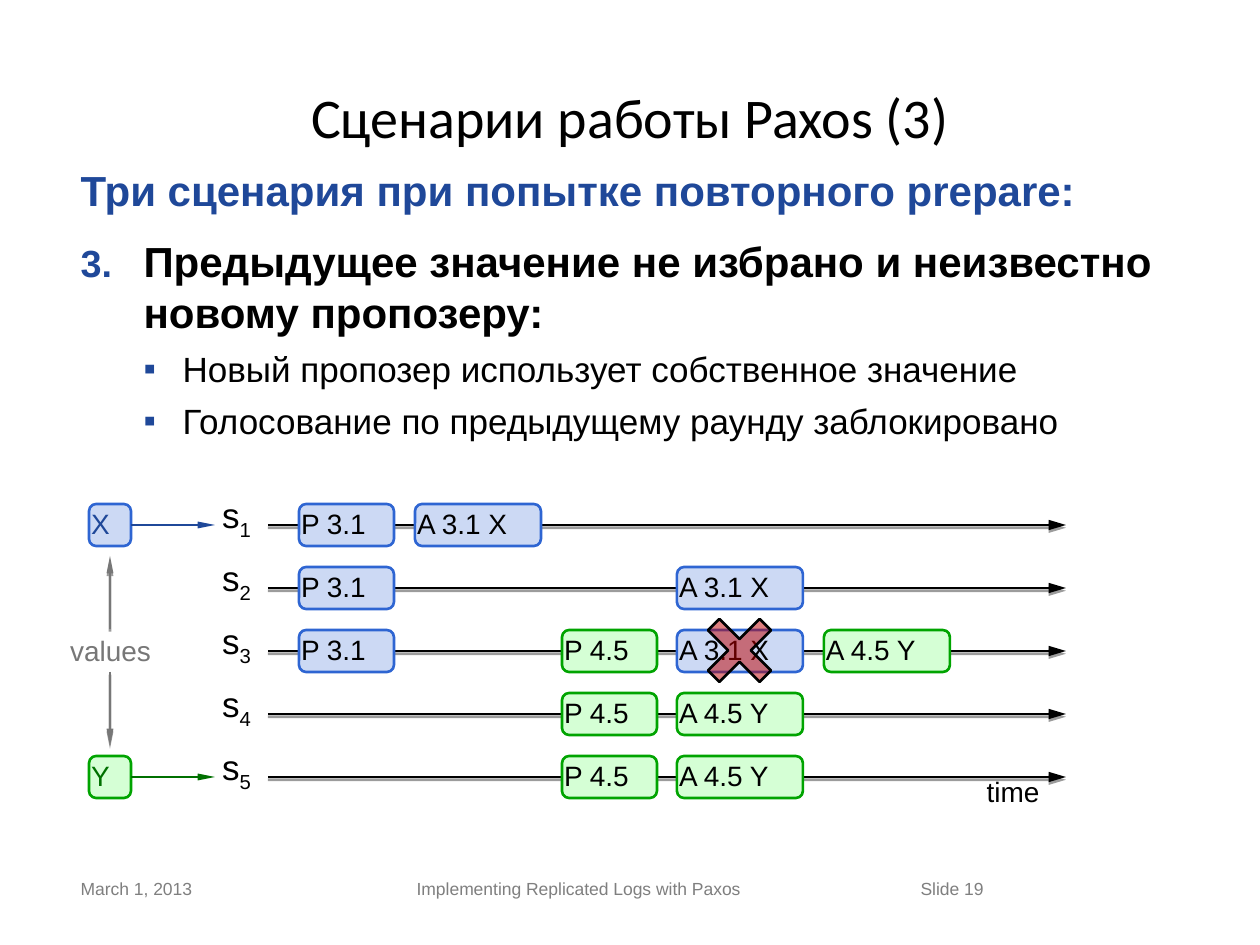
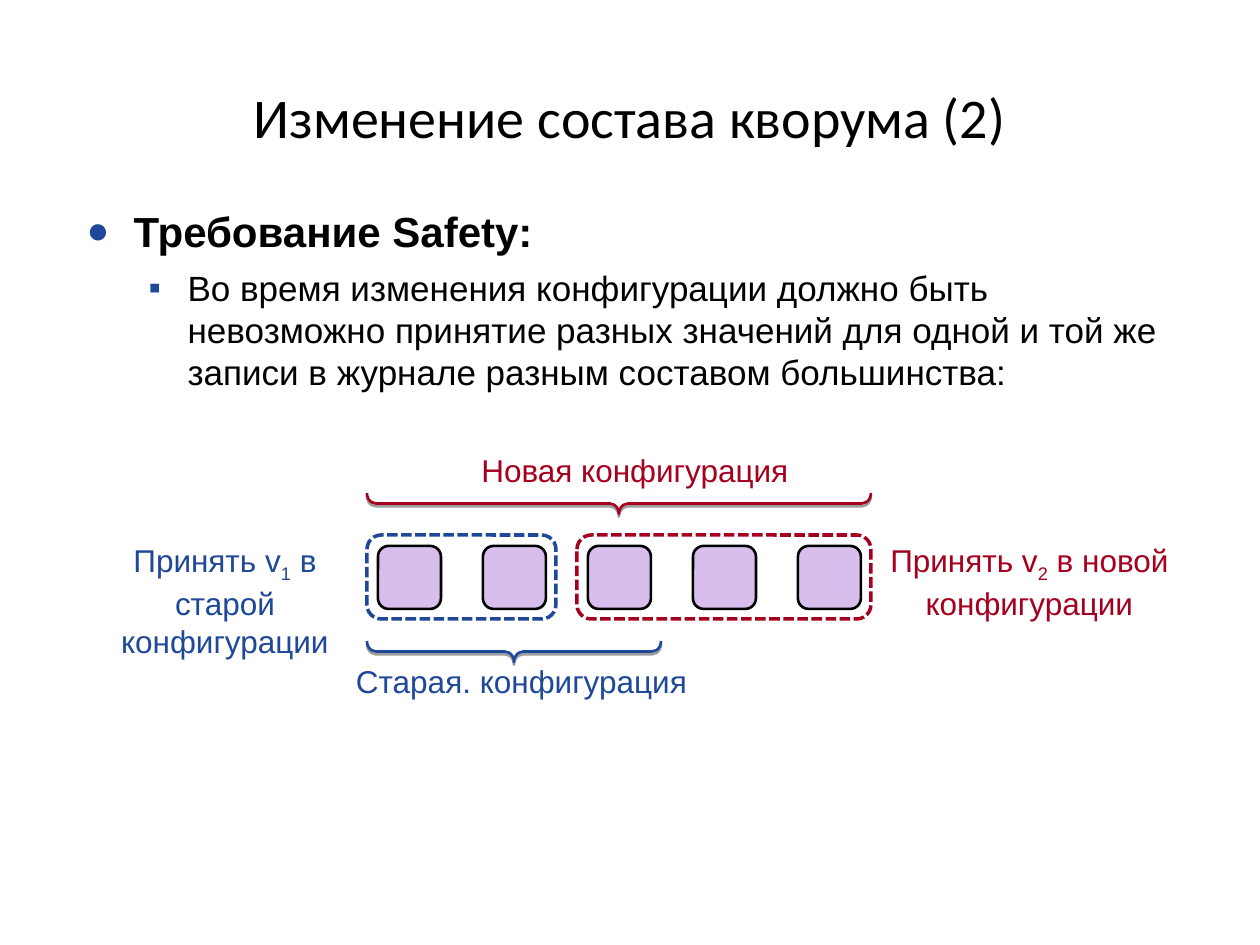
from lxml.etree import SubElement
from pptx import Presentation
from pptx.dml.color import RGBColor
from pptx.enum.dml import MSO_LINE as Dash
from pptx.enum.shapes import MSO_CONNECTOR as Conn, MSO_SHAPE as Kind
from pptx.enum.text import MSO_ANCHOR as Anchor, PP_ALIGN as Align
from pptx.oxml.ns import qn
from pptx.util import Emu, Pt

PX = 914400 // 126

BLACK = RGBColor(0x00, 0x00, 0x00)
NAVY = RGBColor(0x1F, 0x48, 0x99)
BLUE = RGBColor(0x2E, 0x65, 0xD2)
SKY = RGBColor(0xCC, 0xD9, 0xF4)
GREEN = RGBColor(0x00, 0xA4, 0x00)
MINT = RGBColor(0xD5, 0xFF, 0xD5)
DARK = RGBColor(0x00, 0x70, 0x00)
RED = RGBColor(0xC0, 0x00, 0x00)
WINE = RGBColor(0xA5, 0x00, 0x1E)
LILAC = RGBColor(0xD8, 0xBE, 0xEC)
GRAY = RGBColor(0x77, 0x77, 0x77)
PALE = RGBColor(0x7F, 0x7F, 0x7F)

# Bullet: left margin, indent, size in percent, tag, attributes
NUMBER = (63, -63, 90, "a:buAutoNum", {"type": "arabicPeriod", "startAt": "3"})
DOT = (48, -47, 90, "a:buChar", {"char": "●"})
SQUARE = (102, -39, 100, "a:buChar", {"char": "▪"})

# Timeline grid
TOP, STEP, HIGH = 504, 63, 42
SHORT, LONG = 95, 126


def px(*vals):
    return [Emu(round(v * PX)) for v in vals]


def style(para, size, color, bold=False, face="Arial"):
    font = para.font
    font.size, font.bold, font.name = Pt(size), bold, face
    font.color.rgb = color


def frame(shape, pad=(0, 0), anchor=Anchor.TOP):
    tf = shape.text_frame
    tf.word_wrap = True
    tf.margin_left = tf.margin_right = px(pad[0])[0]
    tf.margin_top = tf.margin_bottom = px(pad[1])[0]
    tf.vertical_anchor = anchor
    return tf


def label(slide, box, parts, size, color, align=Align.CENTER,
          pad=(0, 0), anchor=Anchor.TOP, face="Arial"):
    """Text box; every second part is a subscript."""
    tf = frame(slide.shapes.add_textbox(*px(*box)), pad, anchor)
    para = tf.paragraphs[0]
    para.alignment = align
    style(para, size, color, face=face)
    for i, part in enumerate(parts):
        for j, line in enumerate(part.split("\n")):
            if j:
                para.add_line_break()
            run = para.add_run()
            run.text = line
            if i % 2:
                run.font._element.set("baseline", "-25000")


def title(slide, text):
    label(slide, (63, 38, 1134, 157), [text], 32, BLACK,
          anchor=Anchor.MIDDLE, face="Calibri")


def bullet(para, mark):
    left, indent, size, tag, attrs = mark
    ppr = para._p.get_or_add_pPr()
    ppr.set("marL", str(left * PX))
    ppr.set("indent", str(indent * PX))
    nodes = []
    color = ppr.makeelement(qn("a:buClr"))
    SubElement(color, qn("a:srgbClr"), val=str(NAVY))
    nodes.append(color)
    nodes.append(ppr.makeelement(qn("a:buSzPct"), val=str(size * 1000)))
    nodes.append(ppr.makeelement(qn("a:buFont"), typeface="Arial"))
    nodes.append(ppr.makeelement(qn(tag), attrs))
    ppr.find(qn("a:defRPr")).addprevious(color)
    for prev, node in zip(nodes, nodes[1:]):
        prev.addnext(node)


def body(slide, box, items):
    """Each item is text, bullet, colour."""
    tf = frame(slide.shapes.add_textbox(*px(*box)), (12.6, 6.3))
    for i, (text, mark, color) in enumerate(items):
        para = tf.add_paragraph() if i else tf.paragraphs[0]
        sub = mark is SQUARE
        para.text, para.level = text, int(sub)
        para.space_before = Pt(6 if sub else 12)
        style(para, 20 if sub else 24, color, not sub)
        if mark:
            bullet(para, mark)


def shade(item, on):
    """Set the effects by hand: a low shadow or none."""
    effect = SubElement(item._element.spPr, qn("a:effectLst"))
    if on:
        drop = SubElement(effect, qn("a:outerShdw"), blurRad="0",
                          dist="20320", dir="5400000", rotWithShape="0")
        color = SubElement(drop, qn("a:srgbClr"), val=str(BLACK))
        SubElement(color, qn("a:alpha"), val="38000")


def shape(slide, kind, box, fill, line, adj, width=1.5, shadow=False):
    item = slide.shapes.add_shape(kind, *px(*box))
    item.adjustments[0] = adj
    if fill is None:
        item.fill.background()
    else:
        item.fill.solid()
        item.fill.fore_color.rgb = fill
    item.line.color.rgb, item.line.width = line, Pt(width)
    shade(item, shadow)
    return item


def card(slide, box, fill, line, width=1.5):
    return shape(slide, Kind.ROUNDED_RECTANGLE, box, fill, line, 0.17, width)


def step(slide, left, row, wide, text, blue, color=BLACK):
    fill, line = (SKY, BLUE) if blue else (MINT, GREEN)
    item = card(slide, (left, TOP + row * STEP, wide, HIGH), fill, line)
    para = frame(item, anchor=Anchor.MIDDLE).paragraphs[0]
    para.text, para.alignment = text, Align.LEFT
    para.line_spacing = Pt(17)
    style(para, 16, color)


def arrow(slide, ends, color, head="sm", shadow=False):
    item = slide.shapes.add_connector(Conn.STRAIGHT, *px(*ends))
    item.line.color.rgb, item.line.width = color, Pt(1.5)
    SubElement(item.line._get_or_add_ln(), qn("a:tailEnd"),
               type="triangle", w=head, len="lg")
    shade(item, shadow)


def brace(slide, left, top, wide, color):
    """Brace with its tip down: an upright one, turned about its centre."""
    thick = 21
    mid = left + wide / 2
    box = (mid - thick / 2, top + thick / 2 - wide / 2, thick, wide)
    item = shape(slide, Kind.LEFT_BRACE, box, None, color, 0.43, shadow=True)
    item.rotation = 270


def scene(slide):
    title(slide, "Сценарии работы Paxos (3)")
    body(slide, (68, 158, 1134, 210), [
        ("Три сценария при попытке повторного prepare:", None, NAVY),
        ("Предыдущее значение не избрано и неизвестно новому пропозеру:",
         NUMBER, BLACK),
        ("Новый пропозер использует собственное значение", SQUARE, BLACK),
        ("Голосование по предыдущему раунду заблокировано", SQUARE, BLACK)])

    # Footer
    for left, wide, text in [
            (68, 294, "March 1, 2013"),
            (404, 472, "Implementing Replicated Logs with Paxos"),
            (908, 294, "Slide 19")]:
        label(slide, (left, 872, wide, 54), [text], 10, PALE,
              Align.LEFT, (12.6, 6.3))

    # Server lanes
    for row in range(5):
        mid = TOP + HIGH // 2 + row * STEP
        arrow(slide, (268, mid, 1066, mid), BLACK, "med", True)
        label(slide, (205, mid - 31, 63, 48), ["s", str(row + 1)], 20, BLACK)
    label(slide, (971, 775, 84, 34), ["time"], 16, BLACK)

    # Prepare and accept steps
    for row in range(3):
        step(slide, 299, row, SHORT, "P 3.1", True)
    for row in range(2, 5):
        step(slide, 562, row, SHORT, "P 4.5", False)
    for left, row in [(415, 0), (677, 1), (677, 2)]:
        step(slide, left, row, LONG, "A 3.1 X", True)
    for left, row in [(824, 2), (677, 3), (677, 4)]:
        step(slide, left, row, LONG, "A 4.5 Y", False)

    # Blocked step
    cross = shape(slide, Kind.CROSS, (703, 614, 73, 73), RED, BLACK, 0.39)
    cross.rotation = 45
    color = cross._element.spPr.find(qn("a:solidFill"))[0]
    SubElement(color, qn("a:alpha"), val="50000")

    # Proposed values
    for row, text, blue, tint in [(0, "X", True, NAVY), (4, "Y", False, DARK)]:
        step(slide, 89, row, HIGH, text, blue, tint)
        mid = TOP + HIGH // 2 + row * STEP
        arrow(slide, (131, mid, 215, mid), tint)
    label(slide, (58, 634, 105, 34), ["values"], 16, GRAY)
    for start, end in [(629, 556), (672, 746)]:
        arrow(slide, (110, start, 110, end), GRAY, shadow=True)


def quorum(slide):
    title(slide, "Изменение состава кворума (2)")
    body(slide, (73, 199, 1134, 634), [
        ("Требование Safety:", DOT, BLACK),
        ("Во время изменения конфигурации должно быть невозможно принятие "
         "разных значений для одной и той же записи в журнале разным "
         "составом большинства:", SQUARE, BLACK)])

    # Servers and their majorities
    for i in range(5):
        card(slide, (378 + i * 105, 546, 63, 63), LILAC, BLACK)
    for left, wide, color in [(367, 189, NAVY), (577, 294, WINE)]:
        group = card(slide, (left, 535, wide, 84), None, color, 2)
        group.line.dash_style = Dash.SQUARE_DOT

    # Configurations
    brace(slide, 367, 641, 294, NAVY)
    brace(slide, 367, 493, 504, WINE)
    label(slide, (349, 662, 345, 38), ["Старая. конфигурация"], 18, NAVY)
    label(slide, (451, 451, 368, 38), ["Новая конфигурация"], 18, WINE)

    # Decisions
    label(slide, (94, 535, 262, 131),
          ["Принять v", "1", " в\nстарой конфигурации"], 18, NAVY,
          pad=(12.6, 6.3))
    label(slide, (872, 535, 315, 93),
          ["Принять v", "2", " в новой конфигурации"], 18, WINE,
          pad=(12.6, 6.3))


def main():
    deck = Presentation()
    deck.slide_width, deck.slide_height = px(1260, 945)
    for draw in (scene, quorum):
        draw(deck.slides.add_slide(deck.slide_layouts[6]))
    deck.save("out.pptx")


main()
